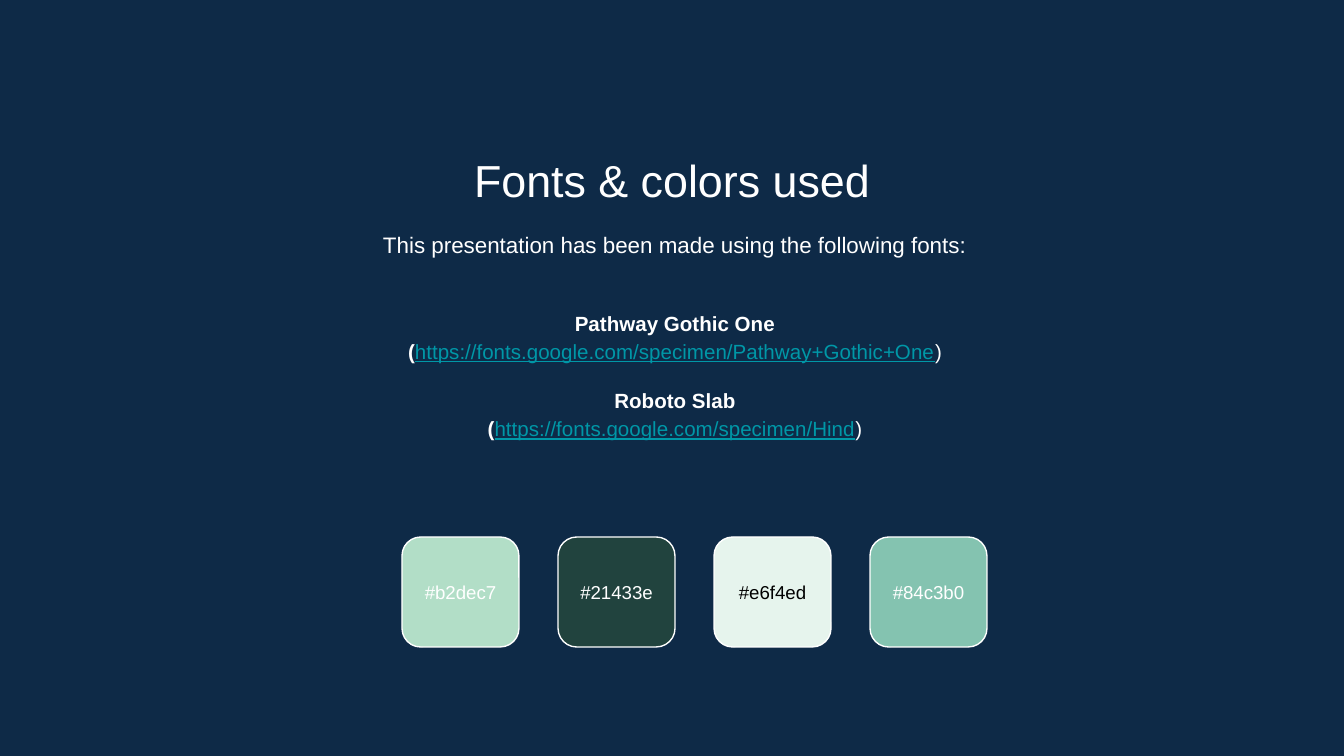
from dataclasses import dataclass

from pptx import Presentation
from pptx.dml.color import RGBColor
from pptx.enum.shapes import MSO_SHAPE as Shape
from pptx.enum.text import MSO_ANCHOR as Anchor, PP_ALIGN as Align
from pptx.util import Emu, Pt

SLIDE_WIDTH = 1344
SLIDE_HEIGHT = 756
EMU_PER_PX = 9144000 / SLIDE_WIDTH
INSET = 13
FONT = "Arial"

NAVY = RGBColor(0x0E, 0x2A, 0x47)
WHITE = RGBColor(0xFF, 0xFF, 0xFF)
BLACK = RGBColor(0x00, 0x00, 0x00)
TEAL = RGBColor(0x00, 0x97, 0xA7)
MINT = RGBColor(0xB2, 0xDE, 0xC7)
FOREST = RGBColor(0x21, 0x43, 0x3E)
PALE = RGBColor(0xE6, 0xF4, 0xED)
SEAFOAM = RGBColor(0x84, 0xC3, 0xB0)


@dataclass(frozen=True)
class Box:
    left: int
    top: int
    width: int
    height: int


@dataclass(frozen=True)
class FontSource:
    name: str
    address: str


@dataclass(frozen=True)
class Swatch:
    label: str
    fill: RGBColor
    text_color: RGBColor = WHITE


FONT_SOURCES = [
    FontSource("Pathway Gothic One", "https://fonts.google.com/specimen/Pathway+Gothic+One"),
    FontSource("Roboto Slab", "https://fonts.google.com/specimen/Hind"),
]
SWATCHES = [
    Swatch("#b2dec7", MINT),
    Swatch("#21433e", FOREST),
    Swatch("#e6f4ed", PALE, BLACK),
    Swatch("#84c3b0", SEAFOAM),
]
FIRST_SWATCH = Box(402, 537, 117, 110)
SWATCH_STEP = 156


def px(length: int) -> Emu:
    return Emu(round(length * EMU_PER_PX))


def place(box: Box) -> tuple[Emu, Emu, Emu, Emu]:
    return px(box.left), px(box.top), px(box.width), px(box.height)


def prepare_frame(frame, anchor) -> None:
    frame.word_wrap = True
    frame.vertical_anchor = anchor
    frame.margin_left = frame.margin_right = px(INSET)
    frame.margin_top = frame.margin_bottom = px(INSET)


def style_run(run, size: int, color: RGBColor, bold: bool = False, underline: bool = False) -> None:
    run.font.name = FONT
    run.font.size = Pt(size)
    run.font.color.rgb = color
    run.font.bold = bold
    run.font.underline = underline


def add_line(slide, box: Box, text: str, size: int, spacing: float) -> None:
    frame = slide.shapes.add_textbox(*place(box)).text_frame
    prepare_frame(frame, Anchor.TOP)
    frame.text = text
    paragraph = frame.paragraphs[0]
    paragraph.alignment = Align.CENTER
    paragraph.line_spacing = spacing
    style_run(paragraph.runs[0], size, WHITE)


def add_font_list(slide, box: Box, sources: list[FontSource]) -> None:
    frame = slide.shapes.add_textbox(*place(box)).text_frame
    prepare_frame(frame, Anchor.MIDDLE)
    for index, source in enumerate(sources):
        name = frame.add_paragraph() if index else frame.paragraphs[0]
        if index:
            name.space_before = Pt(11)
        name.text = source.name
        style_run(name.runs[0], 11, WHITE, bold=True)
        address = frame.add_paragraph()
        for text, color, bold, underline in (
            ("(", WHITE, True, False),
            (source.address, TEAL, False, True),
            (")", WHITE, False, False),
        ):
            run = address.add_run()
            run.text = text
            style_run(run, 11, color, bold, underline)
        for paragraph in (name, address):
            paragraph.alignment = Align.CENTER
            paragraph.line_spacing = 1.15


def add_swatch(slide, box: Box, swatch: Swatch) -> None:
    shape = slide.shapes.add_shape(Shape.ROUNDED_RECTANGLE, *place(box))
    shape.shadow.inherit = False
    shape.adjustments[0] = 0.17
    shape.fill.solid()
    shape.fill.fore_color.rgb = swatch.fill
    shape.line.color.rgb = WHITE
    shape.line.width = Pt(0.75)
    prepare_frame(shape.text_frame, Anchor.MIDDLE)
    shape.text_frame.text = swatch.label
    paragraph = shape.text_frame.paragraphs[0]
    paragraph.alignment = Align.CENTER
    style_run(paragraph.runs[0], 10, swatch.text_color)


def main() -> None:
    presentation = Presentation()
    presentation.slide_width = px(SLIDE_WIDTH)
    presentation.slide_height = px(SLIDE_HEIGHT)
    slide = presentation.slides.add_slide(presentation.slide_layouts[6])
    slide.background.fill.solid()
    slide.background.fill.fore_color.rgb = NAVY

    add_line(slide, Box(154, 140, 1036, 71), "Fonts & colors used", 24, 1.0)
    add_line(
        slide,
        Box(157, 214, 1036, 64),
        "This presentation has been made using the following fonts:",
        12,
        1.15,
    )
    add_font_list(slide, Box(157, 282, 1036, 184), FONT_SOURCES)
    for index, swatch in enumerate(SWATCHES):
        left = FIRST_SWATCH.left + index * SWATCH_STEP
        box = Box(left, FIRST_SWATCH.top, FIRST_SWATCH.width, FIRST_SWATCH.height)
        add_swatch(slide, box, swatch)

    presentation.save("out.pptx")


if __name__ == "__main__":
    main()
